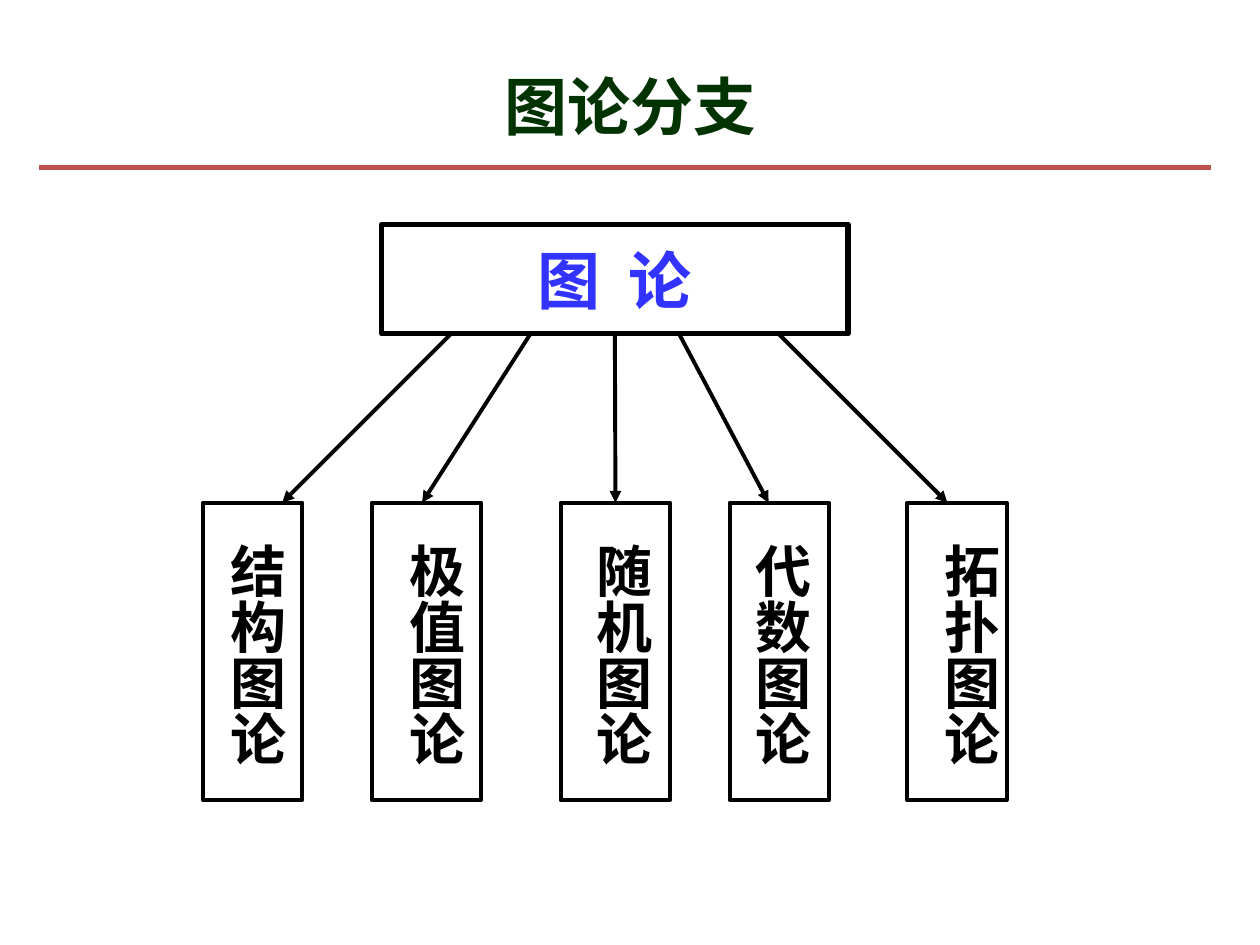
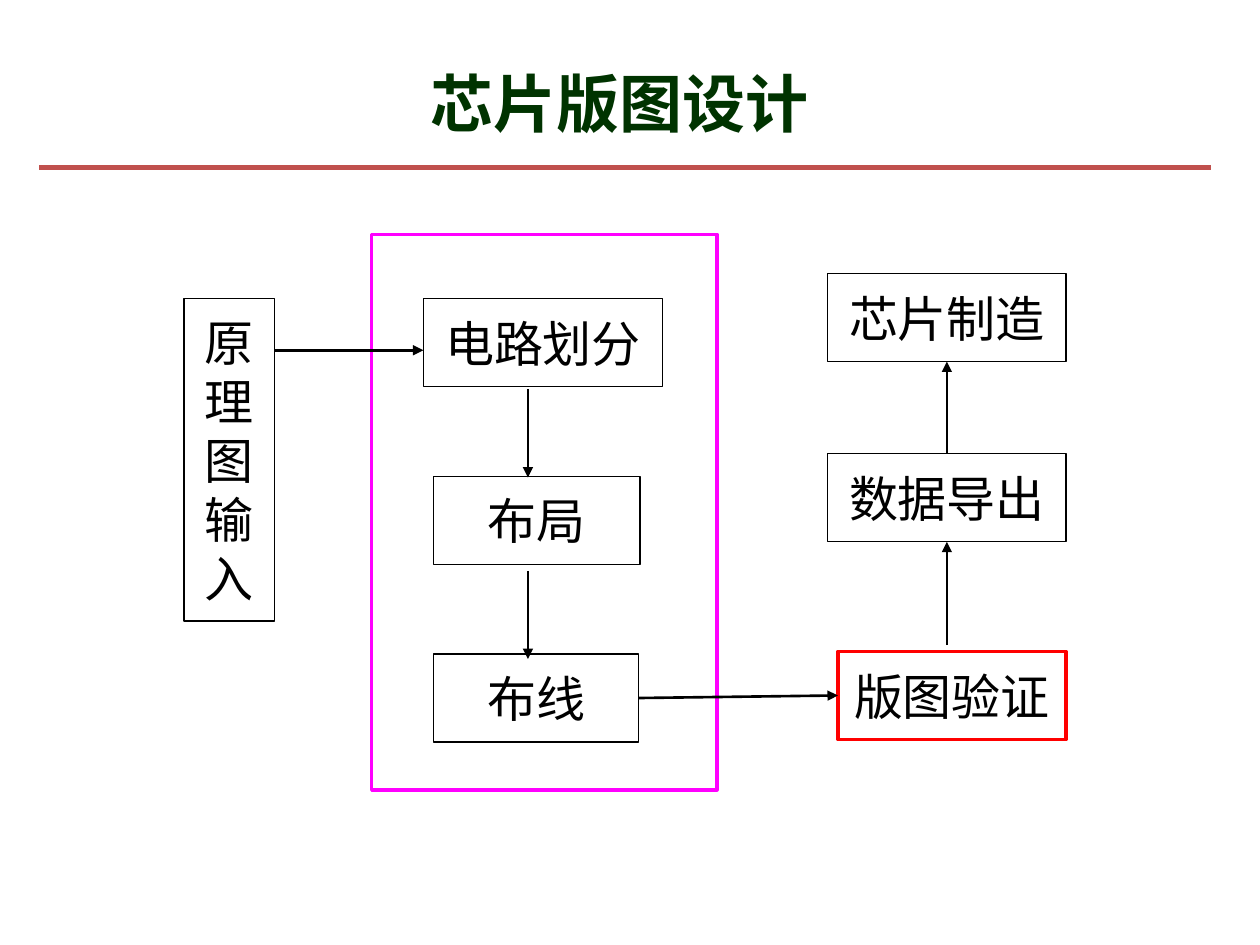
import collections

import lxml.etree
import pptx
import pptx.dml.color
import pptx.enum.shapes
import pptx.enum.text
import pptx.oxml.ns
import pptx.util

RGB = pptx.dml.color.RGBColor
BLACK = RGB(0x00, 0x00, 0x00)
WHITE = RGB(0xFF, 0xFF, 0xFF)
TITLE_GREEN = RGB(0x00, 0x33, 0x00)
RULE_RED = RGB(0xC0, 0x50, 0x4D)
ROOT_BLUE = RGB(0x33, 0x33, 0xFF)
FRAME_MAGENTA = RGB(0xFF, 0x00, 0xFF)
CHECK_RED = RGB(0xFF, 0x00, 0x00)

# The slide is a grid of 100 columns and 75 rows of square cells.
SLIDE_WIDTH = pptx.util.Inches(10)
SLIDE_HEIGHT = pptx.util.Inches(7.5)
CELL = SLIDE_WIDTH / 100

EAST_ASIAN_FONT = "Noto Sans CJK SC"
ROOT_FONT = {"name": "Arial", "size": pptx.util.Pt(36), "bold": True}
LEAF_FONT = {"name": "Arial", "size": pptx.util.Pt(32), "bold": True}
STEP_FONT = {"name": "Lato", "size": pptx.util.Pt(28), "bold": False}
CENTRED = {"alignment": pptx.enum.text.PP_ALIGN.CENTER}
MIDDLE = {"vertical_anchor": pptx.enum.text.MSO_ANCHOR.MIDDLE}
UPRIGHT = {
    "word_wrap": False,
    "auto_size": pptx.enum.text.MSO_AUTO_SIZE.SHAPE_TO_FIT_TEXT,
    "margin_left": pptx.util.Inches(0.05),
    "margin_right": pptx.util.Inches(0.05),
    "margin_top": pptx.util.Inches(0.1),
    "margin_bottom": pptx.util.Inches(0.1),
}
TOP, LEFT, BOTTOM, RIGHT = range(4)


class Box(collections.namedtuple("Box", "left top width height")):
    """A rectangle in grid cells."""

    def inner(self, left, top, width, height):
        return Box(self.left + left, self.top + top, width, height)

    def point(self, column, row):
        return self.left + column, self.top + row


def emu(cells):
    return [round(cell * CELL) for cell in cells]


def apply(target, values):
    for name, value in values.items():
        setattr(target, name, value)


def add_child(parent, tag, **attributes):
    child = lxml.etree.SubElement(parent, pptx.oxml.ns.qn(tag))
    for name, value in attributes.items():
        child.set(name, value)


def write(shape, text, font, color, frame_format, para_format):
    frame = shape.text_frame
    frame.text = text
    apply(frame, frame_format)
    for para in frame.paragraphs:
        apply(para, para_format)
        for span in para.runs:
            apply(span.font, font)
            span.font.color.rgb = color
            add_child(span.font._element, "a:ea", typeface=EAST_ASIAN_FONT)


def add_rectangle(page, box, weight, color=BLACK, fill=None):
    shape = page.shapes.add_shape(
        pptx.enum.shapes.MSO_SHAPE.RECTANGLE, *emu(box))
    shape.shadow.inherit = False
    shape.line.width = pptx.util.Pt(weight)
    shape.line.color.rgb = color
    if fill is None:
        shape.fill.background()
    else:
        shape.fill.solid()
        shape.fill.fore_color.rgb = fill
    return shape


def add_line(page, start, end, weight, color=BLACK):
    line = page.shapes.add_connector(
        pptx.enum.shapes.MSO_CONNECTOR.STRAIGHT, *emu((*start, *end)))
    line.line.width = pptx.util.Pt(weight)
    line.line.color.rgb = color
    add_child(line._element.spPr, "a:effectLst")
    return line


def add_arrow(page, start, end, weight, begin_at=None, end_at=None):
    """Draw an arrow; begin_at and end_at are (shape, side) joints."""
    arrow = add_line(page, start, end, weight)
    add_child(arrow.line._get_or_add_ln(), "a:tailEnd", type="triangle")
    if begin_at:
        arrow.begin_connect(*begin_at)
    if end_at:
        arrow.end_connect(*end_at)


def add_header(page, box, title, font_name, para_format):
    """Place the title in its box, above the rule across the slide."""
    add_line(page, (3.1, 13.3), (96.1, 13.3), 3, RULE_RED)
    heading = page.shapes.add_textbox(*emu(box))
    write(heading, title, {**ROOT_FONT, "name": font_name}, TITLE_GREEN,
          {**MIDDLE, "word_wrap": True}, {**CENTRED, **para_format})


def add_branch_tree(page, box):
    root_height, leaf_top, leaf_height = 8.7, 22.1, 23.6
    root = add_rectangle(page, box.inner(14.2, 0, 37, root_height), 3,
                         fill=WHITE)
    write(root, "图 论", ROOT_FONT, ROOT_BLUE,
          {**MIDDLE, "word_wrap": False}, CENTRED)
    for span in root.text_frame.paragraphs[0].runs:
        span.font._element.set("spc", "400")

    # name, leaf left, leaf width, text left, arrow start, arrow end
    branches = [
        ("结构图论", 0, 7.9, 0.1, 19.7, 6.3),
        ("极值图论", 13.4, 8.7, 14.3, 26, 17.4),
        ("随机图论", 28.4, 8.7, 29.2, 32.7, 32.7),
        ("代数图论", 41.8, 7.9, 41.8, 37.8, 44.9),
        ("拓扑图论", 55.9, 7.9, 56.8, 45.7, 59.1),
    ]
    for name, left, width, text_left, start, end in branches:
        leaf = add_rectangle(
            page, box.inner(left, leaf_top, width, leaf_height), 2.25,
            fill=WHITE)
        label = page.shapes.add_textbox(
            *emu(box.inner(text_left, leaf_top + 2.2, 7.3, 18.8)))
        write(label, name, LEAF_FONT, BLACK, UPRIGHT, {})
        label.text_frame._txBody.bodyPr.set("vert", "eaVert")
        is_central = start == end
        add_arrow(page, box.point(start, root_height),
                  box.point(end, leaf_top), 2.25,
                  (root, BOTTOM) if is_central else None,
                  (leaf, TOP) if is_central else None)


def add_design_flow(page, box):
    step_height = 7
    add_rectangle(page, box.inner(14.9, 0, 27.4, 44.1), 2, FRAME_MAGENTA)

    # name, left, top, width, height, line weight, line colour
    steps = [
        ("原\n理\n图\n输\n入", 0, 5.1, 7.2, 25.6, 0.75, BLACK),
        ("电路划分", 19, 5.1, 19, step_height, 0.75, BLACK),
        ("布局", 19.8, 19.2, 16.4, step_height, 0.75, BLACK),
        ("布线", 19.8, 33.3, 16.3, step_height, 0.75, BLACK),
        ("版图验证", 51.9, 33.1, 18.1, step_height, 2, CHECK_RED),
        ("数据导出", 51.1, 17.4, 18.9, step_height, 0.75, BLACK),
        ("芯片制造", 51.1, 3.1, 18.9, step_height, 0.75, BLACK),
    ]
    shapes = {}
    for name, left, top, width, height, weight, color in steps:
        shape = add_rectangle(page, box.inner(left, top, width, height),
                              weight, color)
        write(shape, name, STEP_FONT, BLACK,
              {**MIDDLE, "word_wrap": False}, CENTRED)
        shapes[name] = shape

    routing, check = shapes["布线"], shapes["版图验证"]
    export, making = shapes["数据导出"], shapes["芯片制造"]
    # start, end, joint at start, joint at end
    arrows = [
        ((7.2, 9.2), (19, 9.2), None, None),
        ((27.3, 12.3), (27.3, 19.3), None, None),
        ((27.3, 26.7), (27.3, 33.7), None, None),
        ((36.1, 36.8), (51.9, 36.6), (routing, RIGHT), (check, LEFT)),
        ((60.55, 32.6), (60.55, 24.4), None, (export, BOTTOM)),
        ((60.55, 17.4), (60.55, 10.1), (export, TOP), (making, BOTTOM)),
    ]
    for start, end, begin_at, end_at in arrows:
        add_arrow(page, box.point(*start), box.point(*end), 1.5,
                  begin_at, end_at)


def main():
    deck = pptx.Presentation()
    apply(deck, {"slide_width": SLIDE_WIDTH, "slide_height": SLIDE_HEIGHT})
    blank = deck.slide_layouts[6]

    page = deck.slides.add_slide(blank)
    add_header(page, Box(8.3, 4.2, 83.5, 8.3), "图论分支", "Calibri", {})
    add_branch_tree(page, Box(16.1, 17.8, 63.8, 45.7))

    page = deck.slides.add_slide(blank)
    add_header(page, Box(11.4, 2.8, 75.6, 9.5), "芯片版图设计",
               EAST_ASIAN_FONT,
               {"line_spacing": 1.2, "space_after": pptx.util.Pt(27)})
    add_design_flow(page, Box(14.6, 18.6, 70, 44.1))

    deck.save("out.pptx")


if __name__ == "__main__":
    main()
